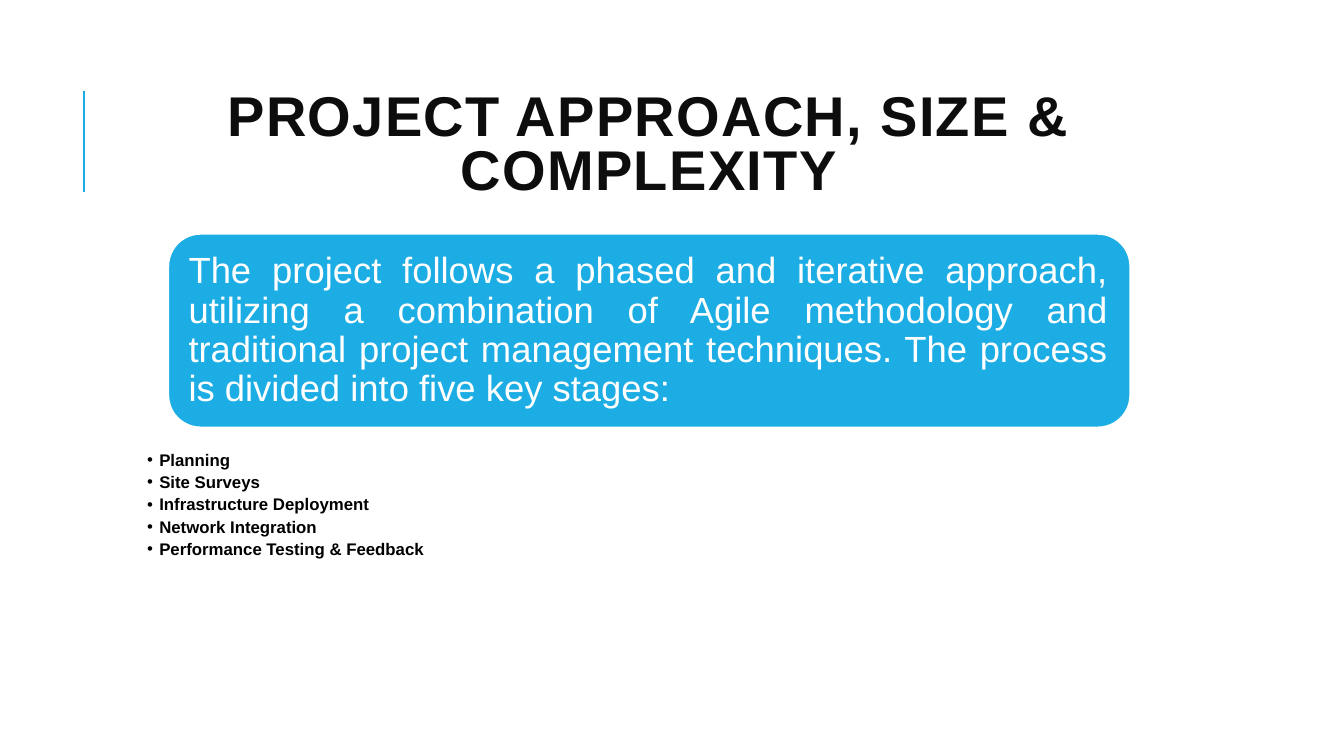
from dataclasses import dataclass, field

from lxml.etree import SubElement
from pptx import Presentation
from pptx.dml.color import RGBColor
from pptx.enum.shapes import MSO_CONNECTOR, MSO_SHAPE
from pptx.enum.text import MSO_ANCHOR as Anchor, PP_ALIGN as Align
from pptx.oxml.ns import qn
from pptx.slide import Slide
from pptx.util import Emu, Pt

PX = 9144  # EMU per px, 100 px to the inch
COLORS = {"accent": "1CADE4", "title": "0D0D0D", "white": "FFFFFF", "black": "000000"}
FONT = "Arial"
BULLET_INDENT = 12


@dataclass(frozen=True)
class TextBlock:
    box: tuple[int, int, int, int]
    lines: list[str]
    color: str
    font: dict[str, object]
    paragraph: dict[str, object]
    anchor: Anchor = Anchor.MIDDLE
    margins: tuple[int, int, int, int] = (10, 5, 10, 5)
    bullet: str = ""
    run_xml: dict[str, str] = field(default_factory=dict)


def px(value: int) -> Emu:
    return Emu(value * PX)


def rgb(name: str) -> RGBColor:
    return RGBColor.from_string(COLORS[name])


def apply(target: object, values: dict[str, object]) -> None:
    for name, value in values.items():
        setattr(target, name, value)


def draw_text(slide: Slide, block: TextBlock) -> None:
    frame = slide.shapes.add_textbox(*map(px, block.box)).text_frame
    sides = ("margin_left", "margin_top", "margin_right", "margin_bottom")
    apply(frame, {"word_wrap": True, "vertical_anchor": block.anchor,
                  **dict(zip(sides, map(px, block.margins)))})
    for index, line in enumerate(block.lines):
        paragraph = frame.add_paragraph() if index else frame.paragraphs[0]
        apply(paragraph, block.paragraph)
        run = paragraph.add_run()
        run.text = line
        apply(run.font, {"name": FONT, **block.font})
        run.font.color.rgb = rgb(block.color)
        for name, value in block.run_xml.items():
            run.font._element.set(name, value)
        if block.bullet:
            properties = paragraph._p.get_or_add_pPr()
            properties.set("marL", str(px(BULLET_INDENT)))
            properties.set("indent", str(-px(BULLET_INDENT)))
            SubElement(properties, qn("a:buFont"), typeface=FONT)
            SubElement(properties, qn("a:buChar"), char=block.bullet)


def draw_accent_line(slide: Slide) -> None:
    accent = slide.shapes.add_connector(
        MSO_CONNECTOR.STRAIGHT, *map(px, (83, 190, 83, 90)))
    accent.line.color.rgb = rgb("accent")
    accent.line.width = Pt(1.5)
    SubElement(accent._element.spPr, qn("a:effectLst"))


def draw_approach_panel(slide: Slide) -> None:
    panel = slide.shapes.add_shape(
        MSO_SHAPE.ROUNDED_RECTANGLE, *map(px, (167, 232, 954, 192)))
    panel.shadow.inherit = False
    panel.fill.solid()
    panel.fill.fore_color.rgb = rgb("accent")
    panel.line.color.rgb = rgb("white")
    panel.line.width = Pt(1.25)


TITLE = TextBlock(
    box=(112, 64, 1063, 164),
    lines=["PROJECT APPROACH, SIZE & COMPLEXITY"],
    color="title",
    font={"size": Pt(40), "bold": True},
    paragraph={"alignment": Align.CENTER, "line_spacing": 0.8},
    run_xml={"spc": "100"},
)
APPROACH = TextBlock(
    box=(176, 242, 935, 173),
    lines=["The project follows a phased and iterative approach, utilizing a "
           "combination of Agile methodology and traditional project management "
           "techniques. The process is divided into five key stages:"],
    color="white",
    font={"size": Pt(26)},
    paragraph={"alignment": Align.JUSTIFY, "line_spacing": 0.9},
    margins=(11, 11, 11, 11),
)
STAGES = TextBlock(
    box=(112, 446, 1063, 273),
    lines=["Planning", "Site Surveys", "Infrastructure Deployment",
           "Network Integration", "Performance Testing & Feedback"],
    color="black",
    font={"size": Pt(12), "bold": True},
    paragraph={"alignment": Align.JUSTIFY, "line_spacing": 0.9,
               "space_after": Pt(3), "level": 1},
    anchor=Anchor.TOP,
    margins=(34, 2, 9, 2),
    bullet="•",
)


def main() -> None:
    deck = Presentation()
    deck.slide_width, deck.slide_height = px(1333), px(750)
    slide = deck.slides.add_slide(deck.slide_layouts[6])

    # Heading with its accent line
    draw_accent_line(slide)
    draw_text(slide, TITLE)

    # Approach statement and the stages below it
    draw_approach_panel(slide)
    for block in (APPROACH, STAGES):
        draw_text(slide, block)

    deck.save("out.pptx")


if __name__ == "__main__":
    main()
